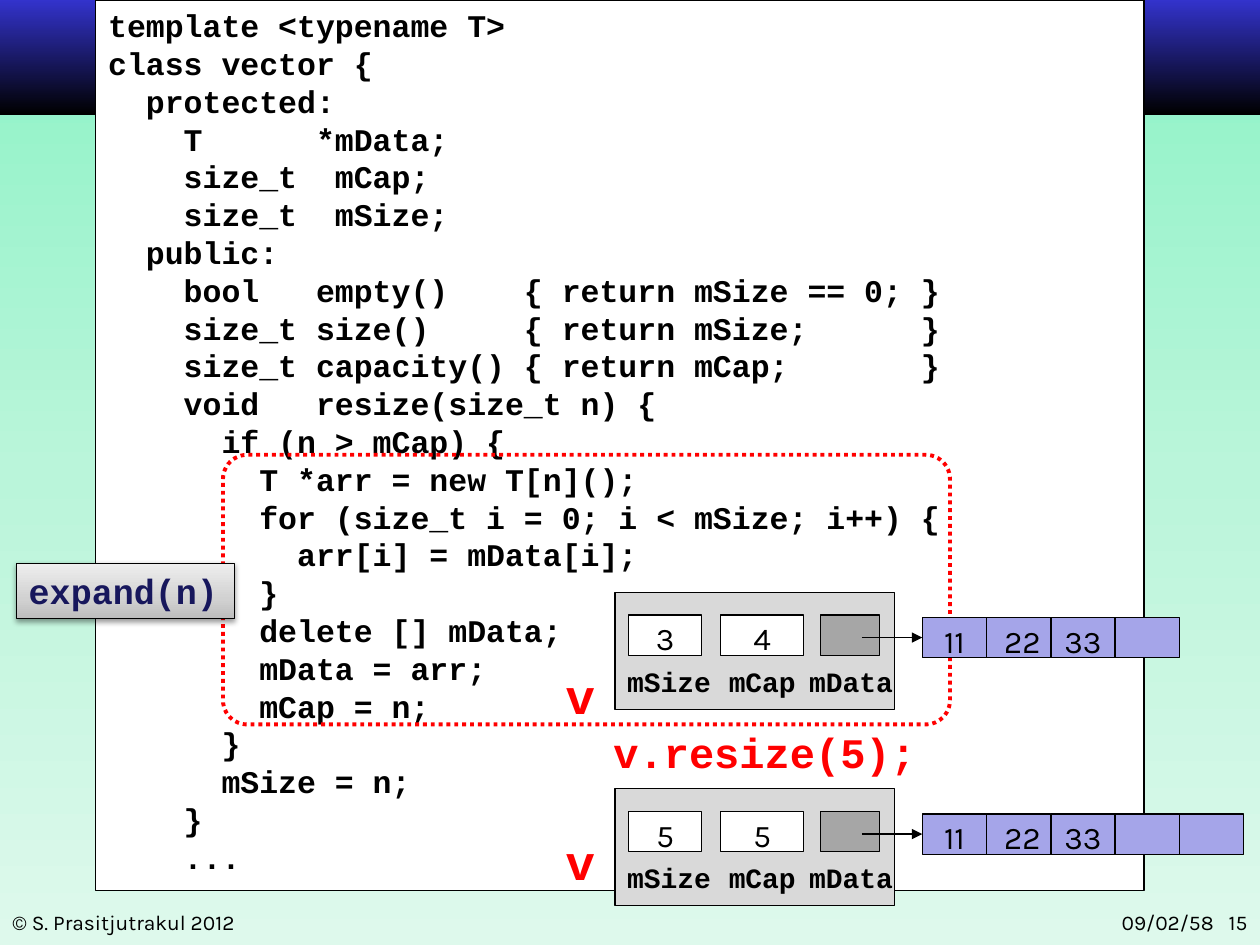
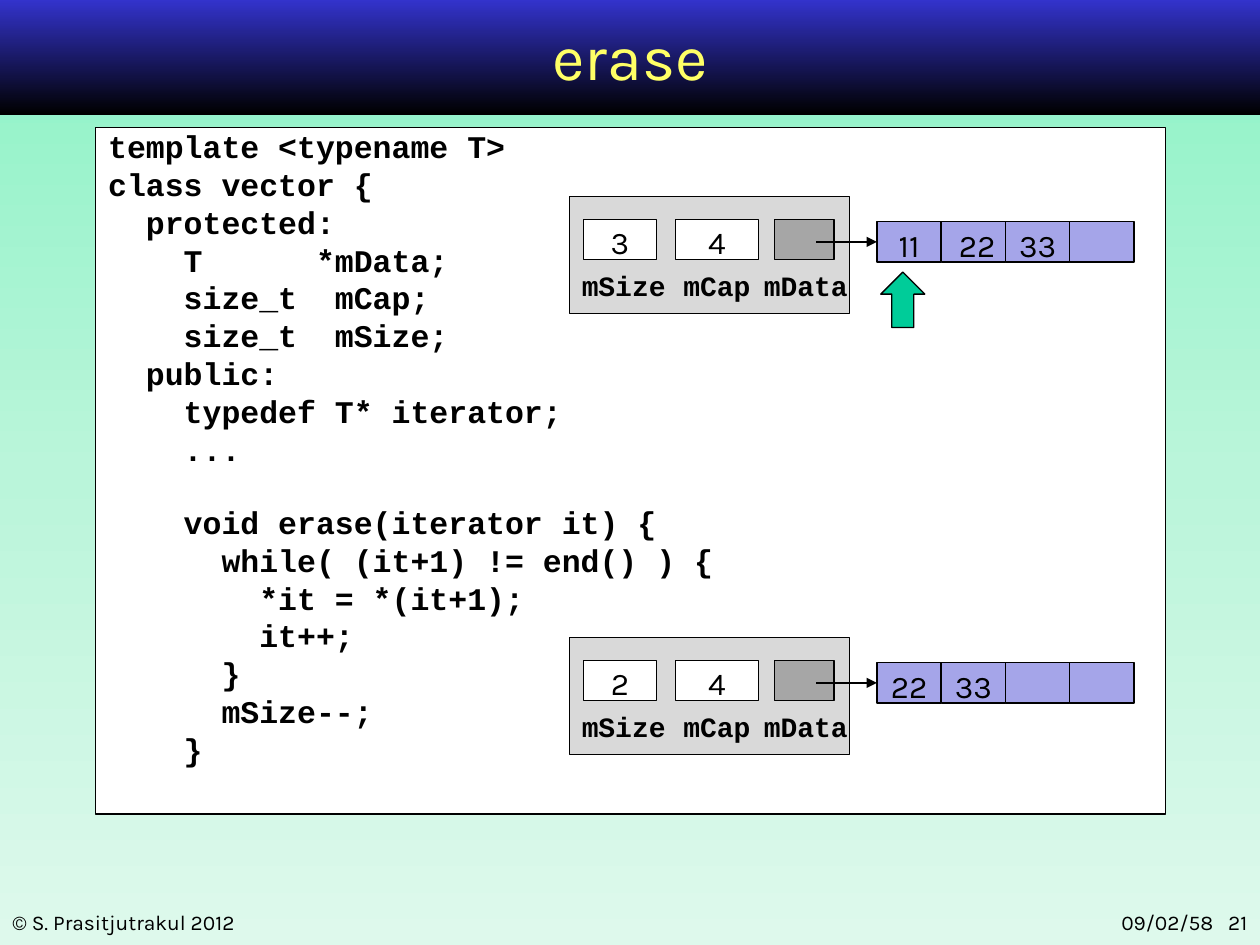
import pptx
import pptx.dml.color
import pptx.enum.dml
import pptx.enum.shapes
import pptx.enum.text
import pptx.oxml.ns
import pptx.util
from lxml import etree

Inches = pptx.util.Inches
Pt = pptx.util.Pt
qn = pptx.oxml.ns.qn
SHAPE = pptx.enum.shapes.MSO_SHAPE
ALIGN = pptx.enum.text.PP_ALIGN
ANCHOR = pptx.enum.text.MSO_ANCHOR

COLORS = {
    "ink": "000000", "paper": "FFFFFF", "title": "FFFF66", "accent": "FF0000",
    "object": "D9D9D9", "pointer": "A6A6A6", "cell": "A5A5E9",
    "iterator": "00CC99", "call": "17175C",
}
PAGE_GRADIENT = [(0, "8CF2C6"), (50, "BAF5DA"), (100, "DEF9EC")]
BAND_GRADIENT = [(0, "3333CC"), (100, "000000")]
CALL_GRADIENT = [(0, "BDBDBD"), (35, "D1D1D1"), (100, "EEEEEE")]

MARGINS = ("margin_left", "margin_top", "margin_right", "margin_bottom")
TOP = {"word_wrap": True, "vertical_anchor": ANCHOR.TOP}
TIGHT = {"word_wrap": True, "vertical_anchor": ANCHOR.MIDDLE, **dict.fromkeys(MARGINS, 0)}
LEFT = {"alignment": ALIGN.LEFT}
CENTERED = {"alignment": ALIGN.CENTER, "line_spacing": 1.15, "space_after": Pt(10)}


def style(size, font="Courier New", color="ink", frame=TOP, para=LEFT, lead=0):
    """Describe a text style; lead is the space before as a share of the size."""
    return {
        "frame": frame,
        "para": {**para, "space_before": Pt(size * lead)},
        "font": {"name": font, "size": Pt(size), "bold": font == "Courier New"},
        "color": color,
    }


STYLES = {
    "code": style(18),
    "footer": style(12, "Karla"),
    "date": style(12, "Karla", para={"alignment": ALIGN.RIGHT}),
    "title": style(36, "Karla", "title", {**TOP, "vertical_anchor": ANCHOR.MIDDLE},
                   {"alignment": ALIGN.CENTER}),
    "value": style(18, "Karla", frame=TIGHT, para=CENTERED),
    "field": style(16, frame=TIGHT, para=CENTERED),
    "statement": style(24, color="accent", lead=0.2),
    "variable": style(28, color="accent", lead=0.2),
    "call": style(20, color="call", lead=0.2),
}

RESIZE_CODE = """template <typename T>
class vector {
  protected:
    T      *mData;
    size_t  mCap;
    size_t  mSize;
  public:
    bool   empty()    { return mSize == 0; }
    size_t size()     { return mSize;      }
    size_t capacity() { return mCap;       }
    void   resize(size_t n) {
      if (n > mCap) {
        T *arr = new T[n]();
        for (size_t i = 0; i < mSize; i++) {
          arr[i] = mData[i];
        }
        delete [] mData;
        mData = arr;
        mCap = n;
      }
      mSize = n;
    }
    ..."""

ERASE_CODE = """template <typename T>
class vector {
  protected:
    T      *mData;
    size_t  mCap;
    size_t  mSize;
  public:
    typedef T* iterator;
    ...

    void erase(iterator it) {
      while( (it+1) != end() ) {
        *it = *(it+1);
        it++;
      }
      mSize--;
    }"""


def rgb(name):
    """Return the named colour."""
    return pptx.dml.color.RGBColor.from_string(COLORS[name])


def assign(target, values):
    """Set every attribute listed in a dict of format values."""
    for name, value in values.items():
        setattr(target, name, value)


def write(shape, text, style_name):
    """Fill a shape with text; an empty line becomes space before the next."""
    look = STYLES[style_name]
    frame = shape.text_frame
    assign(frame, {"auto_size": pptx.enum.text.MSO_AUTO_SIZE.NONE, **look["frame"]})
    para, gap = frame.paragraphs[0], 0
    for line in text.split("\n"):
        if not line:
            gap += look["font"]["size"] * 1.13
            continue
        if para.runs:
            para = frame.add_paragraph()
        assign(para, look["para"])
        if gap:
            para.space_before, gap = int(gap), 0
        span = para.add_run()
        span.text = line
        assign(span.font, look["font"])
        span.font.color.rgb = rgb(look["color"])


def paint_gradient(fill, element, stops, angle):
    """Give a fill a linear gradient with any number of stops."""
    fill.gradient()
    fill.gradient_angle = angle
    stop_list = next(element.iter(qn("a:gsLst")))
    for stop in list(stop_list):
        stop_list.remove(stop)
    for position, color in stops:
        stop = etree.SubElement(stop_list, qn("a:gs"), pos=str(position * 1000))
        etree.SubElement(stop, qn("a:srgbClr"), val=color)


def add_box(shapes, box, fill=None, line="ink", width=0.75, kind=SHAPE.RECTANGLE):
    """Add a preset shape with a plain fill and outline."""
    shape = shapes.add_shape(kind, *map(Inches, box))
    shape.shadow.inherit = False
    if fill:
        shape.fill.solid()
        shape.fill.fore_color.rgb = rgb(fill)
    else:
        shape.fill.background()
    if line:
        shape.line.color.rgb = rgb(line)
        shape.line.width = Pt(width)
    else:
        shape.line.fill.background()
    return shape


def add_label(shapes, box, text, style_name):
    """Add a text box in a named style."""
    write(shapes.add_textbox(*map(Inches, box)), text, style_name)


def add_arrow(shapes, start, end_shape):
    """Draw an arrow from a point to the middle of a shape's left side."""
    arrow = shapes.add_connector(pptx.enum.shapes.MSO_CONNECTOR.STRAIGHT,
                                 *map(Inches, start), *map(Inches, start))
    arrow.end_connect(end_shape, 1)
    arrow.line.color.rgb = rgb("ink")
    arrow.line.width = Pt(0.75)
    etree.SubElement(arrow.line._get_or_add_ln(), qn("a:tailEnd"), type="triangle")
    etree.SubElement(arrow.element.spPr, qn("a:effectLst"))


def add_page(deck, number, title=None):
    """Add a slide with its background, band, footers and optional title."""
    page = deck.slides.add_slide(deck.slide_layouts[5 if title else 6])
    paint_gradient(page.background.fill, page.element, PAGE_GRADIENT, 270)
    band = add_box(page.shapes, (0, 0, 10, 0.91), line=None)
    paint_gradient(band.fill, band.element, BAND_GRADIENT, 270)
    add_label(page.shapes, (0, 7.17, 3.25, 0.3), "© S. Prasitjutrakul 2012", "footer")
    add_label(page.shapes, (7.83, 7.17, 2.17, 0.3), f"09/02/58   {number}", "date")
    if title:
        heading = page.shapes.title
        assign(heading, dict(zip(("left", "top", "width", "height"),
                                 map(Inches, (0.75, 0.02, 8.5, 0.83)))))
        write(heading, title, "title")
        heading.element.getparent().append(heading.element)
    return page


def draw_code(page, box, code):
    """Draw the framed code listing."""
    panel = add_box(page.shapes, box, "paper")
    write(panel, code, "code")
    return panel


def draw_vector(page, left, top, size, capacity, items):
    """Draw a vector object with its fields and the array it points to."""
    shapes = page.shapes.add_group_shape().shapes
    add_box(shapes, (left, top, 2.22, 0.93), "object")
    fields = [
        ("mSize", size, "paper", 0.11, 0.58, 0, 0.86),
        ("mCap", capacity, "paper", 0.84, 0.66, 0.82, 0.7),
        ("mData", "", "pointer", 1.63, 0.47, 1.44, 0.87),
    ]
    for name, value, fill, slot_x, slot_width, name_x, name_width in fields:
        slot = add_box(shapes, (left + slot_x, top + 0.18, slot_width, 0.32), fill)
        write(slot, str(value), "value")
        add_label(shapes, (left + name_x, top + 0.52, name_width, 0.33), name, "field")
    cells = []
    for index in range(capacity):
        cell = add_box(shapes, (left + 2.44 + 0.51 * index, top + 0.2, 0.51, 0.32), "cell")
        write(cell, items[index] if index < len(items) else "", "value")
        cells.append(cell)
    add_arrow(shapes, (left + 1.96, top + 0.36), cells[0])


def draw_call(page, box, text):
    """Draw the shaded call-out that names the marked code."""
    call = add_box(page.shapes, box)
    paint_gradient(call.fill, call.element, CALL_GRADIENT, 90)
    effects = call.element.spPr.find(qn("a:effectLst"))
    shadow = etree.SubElement(effects, qn("a:outerShdw"), blurRad="40000", dist="20000",
                              dir="5400000", rotWithShape="0")
    color = etree.SubElement(shadow, qn("a:srgbClr"), val=COLORS["ink"])
    etree.SubElement(color, qn("a:alpha"), val="38000")
    write(call, text, "call")


def build_resize(deck):
    """Build the slide on resizing a vector."""
    page = add_page(deck, 15)
    draw_code(page, (0.76, 0, 8.32, 7.07), RESIZE_CODE)
    items = ["11", " 22", "33"]
    add_label(page.shapes, (4.77, 5.72, 3.1, 0.5), "v.resize(5);", "statement")
    draw_vector(page, 4.88, 6.26, 5, 5, items)
    add_label(page.shapes, (4.39, 6.55, 0.57, 0.57), "v", "variable")
    marker = add_box(page.shapes, (1.77, 3.61, 5.77, 2.14), None, "accent", 2.25,
                     SHAPE.ROUNDED_RECTANGLE)
    marker.adjustments[0] = 0.09
    marker.line.dash_style = pptx.enum.dml.MSO_LINE.ROUND_DOT
    draw_vector(page, 4.88, 4.7, 3, 4, items)
    add_label(page.shapes, (4.39, 5.23, 0.57, 0.57), "v", "variable")
    draw_call(page, (0.13, 4.47, 1.73, 0.44), "expand(n)")


def build_erase(deck):
    """Build the slide on erasing an element."""
    page = add_page(deck, 21, "erase")
    panel = draw_code(page, (0.76, 1.01, 8.49, 5.45), ERASE_CODE)
    assign(panel.text_frame, {"margin_top": 0, "margin_bottom": 0})
    draw_vector(page, 4.52, 1.56, 3, 4, ["11", " 22", "33"])
    add_box(page.shapes, (6.99, 2.16, 0.35, 0.44), "iterator", kind=SHAPE.UP_ARROW)
    draw_vector(page, 4.52, 5.06, 2, 4, ["22", "33"])


def main():
    """Build the deck and save it."""
    deck = pptx.Presentation()
    assign(deck, {"slide_width": Inches(10), "slide_height": Inches(7.5)})
    build_resize(deck)
    build_erase(deck)
    deck.save("out.pptx")


if __name__ == "__main__":
    main()
